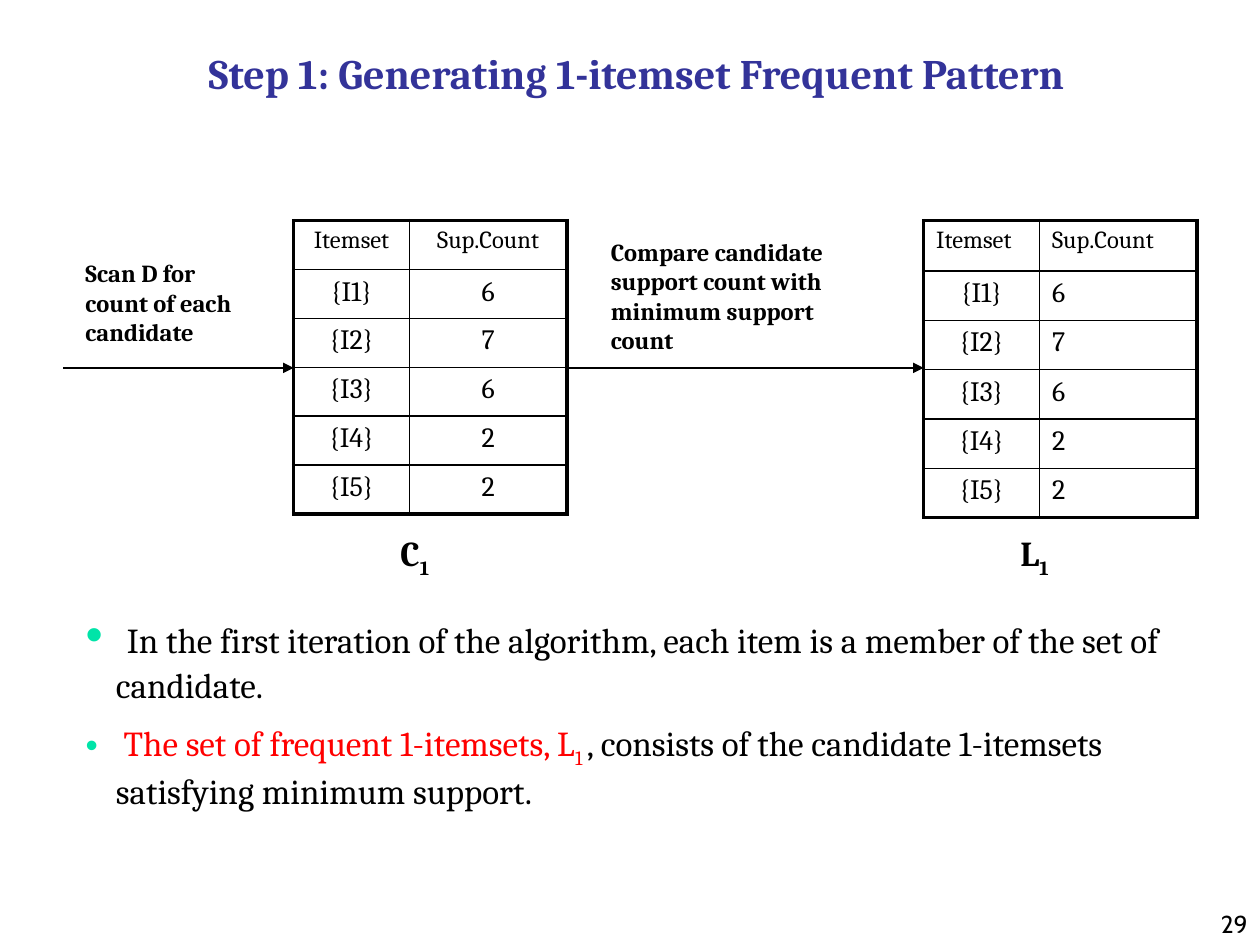
import dataclasses

import lxml.etree
import pptx
import pptx.dml.color
import pptx.enum.shapes
import pptx.enum.text
import pptx.oxml.ns
import pptx.util

Inches = pptx.util.Inches
Pt = pptx.util.Pt
Align = pptx.enum.text.PP_ALIGN
Anchor = pptx.enum.text.MSO_ANCHOR
qn = pptx.oxml.ns.qn


@dataclasses.dataclass(frozen=True)
class Theme:
    """Fonts, colours and type sizes of the slide."""
    serif: str = "Cambria"
    sans: str = "Cabin"
    ink: str = "000000"
    title_ink: str = "333399"
    accent: str = "FF0000"
    bullet: str = "00E4A8"
    title: int = 24
    body: int = 20
    lead: int = 28
    cell: int = 16
    small: int = 14
    outer_line: float = 2.25
    inner_line: float = 1
    arrow_line: float = 0.75


THEME = Theme()


def format_run(run, size, color=THEME.ink, font=THEME.serif, bold=False, subscript=False):
    """Set the font of one run."""
    run.font.size = Pt(size)
    run.font.name = font
    run.font.bold = bold
    run.font.color.rgb = pptx.dml.color.RGBColor.from_string(color)
    if subscript:
        run._r.get_or_add_rPr().set("baseline", "-25000")


def add_run(paragraph, text, size, **style):
    """Append a formatted run to a paragraph."""
    run = paragraph.add_run()
    run.text = text
    format_run(run, size, **style)


def add_text(slide, box, runs, align=Align.LEFT, anchor=Anchor.TOP):
    """Place a wrapping text box holding (text, size, style) runs."""
    frame = slide.shapes.add_textbox(*map(Inches, box)).text_frame
    frame.word_wrap = True
    frame.vertical_anchor = anchor
    paragraph = frame.paragraphs[0]
    paragraph.alignment = align
    for text, size, style in runs:
        add_run(paragraph, text, size, **style)


def place_placeholder(shape, box):
    """Move a placeholder to a box and keep its text at full size."""
    shape.left, shape.top, shape.width, shape.height = map(Inches, box)
    shape.text_frame.word_wrap = True
    shape.text_frame.auto_size = pptx.enum.text.MSO_AUTO_SIZE.NONE


def add_title(slide, box, text):
    """Fill the title placeholder."""
    title = slide.shapes.title
    place_placeholder(title, box)
    title.text_frame.text = text
    title.text_frame.vertical_anchor = Anchor.BOTTOM
    paragraph = title.text_frame.paragraphs[0]
    paragraph.alignment = Align.CENTER
    format_run(paragraph.runs[0], THEME.title, THEME.title_ink, bold=True)


def set_bullet(paragraph, indent):
    """Give a paragraph a coloured bullet with a hanging indent."""
    properties = paragraph._p.get_or_add_pPr()
    properties.set("marL", str(Inches(indent)))
    properties.set("indent", str(-Inches(indent)))
    color = lxml.etree.SubElement(properties, qn("a:buClr"))
    lxml.etree.SubElement(color, qn("a:srgbClr"), val=THEME.bullet)
    lxml.etree.SubElement(properties, qn("a:buChar"), char="•")


def add_body(slide, box, items):
    """Fill the body placeholder with bulleted paragraphs of runs."""
    body = slide.placeholders[1]
    place_placeholder(body, box)
    frame = body.text_frame
    for index, runs in enumerate(items):
        paragraph = frame.paragraphs[0] if index == 0 else frame.add_paragraph()
        paragraph.space_before = Pt(9 if index else 0)
        set_bullet(paragraph, 0.24)
        for text, size, style in runs:
            add_run(paragraph, text, size, **style)


def set_borders(cell, outer_sides):
    """Draw the cell borders, heavier on the outer sides of the table."""
    properties = cell._tc.get_or_add_tcPr()
    for side in "LRTB":
        width = THEME.outer_line if side in outer_sides else THEME.inner_line
        line = lxml.etree.SubElement(properties, qn(f"a:ln{side}"), w=str(Pt(width)))
        fill = lxml.etree.SubElement(line, qn("a:solidFill"))
        lxml.etree.SubElement(fill, qn("a:srgbClr"), val=THEME.ink)


def add_count_table(slide, box, rows, header_height, header_align, count_align):
    """Place an itemset table with its support counts."""
    left, top, width, height = box
    table = slide.shapes.add_table(len(rows), 2, *map(Inches, box)).table
    table.first_row = table.horz_banding = False
    itemset_width = 0.92
    table.columns[0].width = Inches(itemset_width)
    table.columns[1].width = Inches(width - itemset_width)
    row_height = (height - header_height) / (len(rows) - 1)
    for row_index, values in enumerate(rows):
        is_header = row_index == 0
        table.rows[row_index].height = Inches(header_height if is_header else row_height)
        vertical = "T" if is_header else "B" if row_index == len(rows) - 1 else ""
        for column_index, value in enumerate(values):
            cell = table.cell(row_index, column_index)
            set_borders(cell, "LR"[column_index] + vertical)
            cell.fill.background()
            cell.text_frame.text = value
            paragraph = cell.text_frame.paragraphs[0]
            body_align = (Align.CENTER, count_align)[column_index]
            paragraph.alignment = header_align if is_header else body_align
            format_run(paragraph.runs[0], THEME.small if is_header else THEME.cell)


def add_arrow(slide, start, end, height):
    """Draw a horizontal arrow from start to end."""
    arrow = slide.shapes.add_connector(
        pptx.enum.shapes.MSO_CONNECTOR.STRAIGHT,
        *map(Inches, (start, height, end, height)))
    arrow.line.width = Pt(THEME.arrow_line)
    arrow.line.color.rgb = pptx.dml.color.RGBColor.from_string(THEME.ink)
    lxml.etree.SubElement(arrow.line._get_or_add_ln(), qn("a:tailEnd"), type="triangle")
    lxml.etree.SubElement(arrow._element.spPr, qn("a:effectLst"))


def main():
    """Build and save the slide."""
    presentation = pptx.Presentation()
    presentation.slide_width, presentation.slide_height = Inches(10), Inches(7.5)
    slide = presentation.slides.add_slide(presentation.slide_layouts[1])
    bold = {"bold": True}
    rows = [("Itemset", "Sup.Count"), ("{I1}", "6"), ("{I2}", "7"),
            ("{I3}", "6"), ("{I4}", "2"), ("{I5}", "2")]

    add_text(slide, (7.92, 7, 2.08, 0.5), [("29", THEME.small, {"font": THEME.sans})],
             Align.RIGHT, Anchor.BOTTOM)
    add_title(slide, (0.83, 0.25, 8.44, 0.58),
              "Step 1: Generating 1-itemset Frequent Pattern")
    add_count_table(slide, (2.33, 1.75, 2.17, 2.33), rows, 0.39, Align.CENTER, Align.CENTER)
    add_count_table(slide, (7.33, 1.75, 2.17, 2.36), rows, 0.4, Align.LEFT, Align.LEFT)
    red = {"color": THEME.accent}
    add_body(slide, (0.58, 4.75, 8.92, 1.6), [
        [(" ", THEME.lead, {"font": THEME.sans}),
         ("In the first iteration of the algorithm, each item is a member "
          "of the set of candidate.", THEME.body, {})],
        [(" ", THEME.body, {}),
         ("The set of frequent 1-itemsets, L", THEME.body, red),
         ("1 ", THEME.body, {**red, "subscript": True}),
         (", consists of the candidate 1-itemsets satisfying minimum support.",
          THEME.body, {})],
    ])
    for start, end in ((0.5, 2.33), (4.5, 7.33)):
        add_arrow(slide, start, end, 2.92)
    for box, text in (
            ((0.58, 2, 1.5, 0.8), "Scan D for count of each candidate"),
            ((4.75, 1.83, 2.33, 1.03),
             "Compare candidate support count with minimum support count")):
        add_text(slide, box, [(text, THEME.small, bold)])
    for left, letter in ((3.08, "C"), (8, "L")):
        add_text(slide, (left, 4.17, 0.58, 0.43),
                 [(letter, THEME.body, bold),
                  ("1", THEME.body, {**bold, "subscript": True})])
    presentation.save("out.pptx")


if __name__ == "__main__":
    main()
